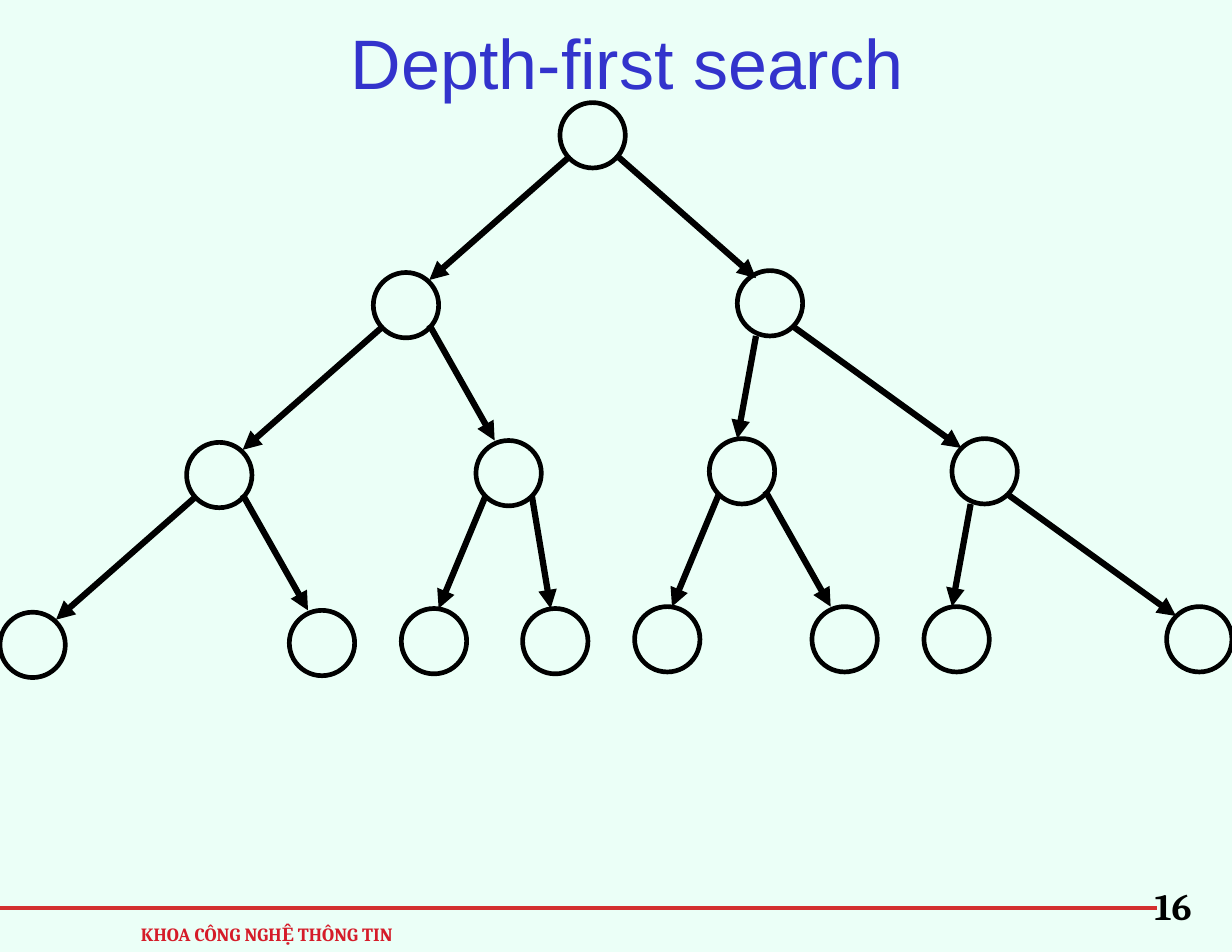
from dataclasses import dataclass

import pptx
import pptx.dml.color
import pptx.enum.shapes
import pptx.enum.text
import pptx.oxml.ns
import pptx.util
from lxml import etree


@dataclass(frozen=True)
class Theme:
    background: str = "EBFFF7"
    title: str = "3333CC"
    rule: str = "D32F2F"
    footer: str = "D51C29"
    ink: str = "000000"
    title_font: str = "Arial"
    footer_font: str = "Cambria"
    title_size: int = 45
    footer_size: int = 12
    number_size: int = 24
    rule_width: float = 2.25
    node_width: float = 3
    arrow_width: float = 4


@dataclass(frozen=True)
class Branch:
    """Step from parent to child; arrow ends are offsets inside each node."""
    step: tuple
    start: tuple
    end: tuple


THEME = Theme()
COLUMNS, ROWS = 132, 102  # square grid, twelve cells to the inch
NODE = 7  # node diameter in cells
ROOT = (60, 11)

WIDE_LEFT = Branch((-20, 18.2), (1, 5.8), (6, 0.8))
SHORT_LEFT = Branch((-8, 18), (1, 6), (4, 0))
STEEP_LEFT = Branch((-3, 18), (2, 7), (3, 0))
STEEP_RIGHT = Branch((5, 18), (6, 6), (3, 0))
MID_RIGHT = Branch((11, 18), (6, 5.6), (2, 0))
WIDE_RIGHT = Branch((19, 18), (6, 5.6), (2, 0.8))
FAR_RIGHT = Branch((23, 18), (6, 6), (1, 1))

# Each entry is a branch and the subtree below it
TREE = [
    (WIDE_LEFT, [
        (WIDE_LEFT, [(WIDE_LEFT, []), (MID_RIGHT, [])]),
        (MID_RIGHT, [(SHORT_LEFT, []), (STEEP_RIGHT, [])]),
    ]),
    (WIDE_RIGHT, [
        (STEEP_LEFT, [(SHORT_LEFT, []), (MID_RIGHT, [])]),
        (FAR_RIGHT, [(STEEP_LEFT, []), (FAR_RIGHT, [])]),
    ]),
]


def cells(*counts):
    return [pptx.util.Inches(count / 12) for count in counts]


def rgb(color):
    return pptx.dml.color.RGBColor.from_string(color)


def shift(point, offset):
    return point[0] + offset[0], point[1] + offset[1]


def write(box, text, font, size, color, bold, spacing):
    frame = box.text_frame
    frame.word_wrap = True
    para = frame.paragraphs[0]
    para.text = text
    para.alignment = pptx.enum.text.PP_ALIGN.CENTER
    para.line_spacing = spacing
    para.font.name = font
    para.font.size = pptx.util.Pt(size)
    para.font.bold = bold
    para.font.color.rgb = rgb(color)


def add_title(page, text):
    title = page.shapes.title
    title.left, title.top, title.width, title.height = cells(2.4, 0, 129.6, 11)
    title.text_frame.vertical_anchor = pptx.enum.text.MSO_ANCHOR.MIDDLE
    write(title, text, THEME.title_font, THEME.title_size, THEME.title, False, 1.24)


def add_footer_text(page, text, place, size, color):
    box = page.shapes.add_textbox(*cells(*place))
    write(box, text, THEME.footer_font, size, color, True, 1.18)


def add_line(page, start, end, color, width, arrow=False):
    line = page.shapes.add_connector(
        pptx.enum.shapes.MSO_CONNECTOR.STRAIGHT, *cells(*start, *end))
    line.line.color.rgb = rgb(color)
    line.line.width = pptx.util.Pt(width)
    properties = line._element.spPr
    if arrow:
        etree.SubElement(line.line._get_or_add_ln(),
                         pptx.oxml.ns.qn("a:tailEnd"), type="triangle")
    etree.SubElement(properties, pptx.oxml.ns.qn("a:effectLst"))


def add_node(page, corner):
    node = page.shapes.add_shape(
        pptx.enum.shapes.MSO_SHAPE.OVAL, *cells(*corner, NODE, NODE))
    node.shadow.inherit = False
    node.fill.background()
    node.line.color.rgb = rgb(THEME.ink)
    node.line.width = pptx.util.Pt(THEME.node_width)


def add_tree(page, corner, branches):
    add_node(page, corner)
    for branch, subtree in branches:
        child = shift(corner, branch.step)
        add_line(page, shift(corner, branch.start), shift(child, branch.end),
                 THEME.ink, THEME.arrow_width, arrow=True)
        add_tree(page, child, subtree)


def main():
    deck = pptx.Presentation()
    deck.slide_width, deck.slide_height = cells(COLUMNS, ROWS)
    page = deck.slides.add_slide(deck.slide_layouts[5])
    page.background.fill.solid()
    page.background.fill.fore_color.rgb = rgb(THEME.background)

    # Footer rule, department and page number
    add_line(page, (0, 97.3), (124, 97.3), THEME.rule, THEME.rule_width)
    add_footer_text(page, "KHOA CÔNG NGHỆ THÔNG TIN", (13.4, 97.9, 30.4, 4.1),
                    THEME.footer_size, THEME.footer)
    add_footer_text(page, "16", (121, 93.2, 9.4, 6.8),
                    THEME.number_size, THEME.ink)

    # Title and search tree
    add_title(page, "Depth-first search")
    add_tree(page, ROOT, TREE)
    deck.save("out.pptx")


if __name__ == "__main__":
    main()
